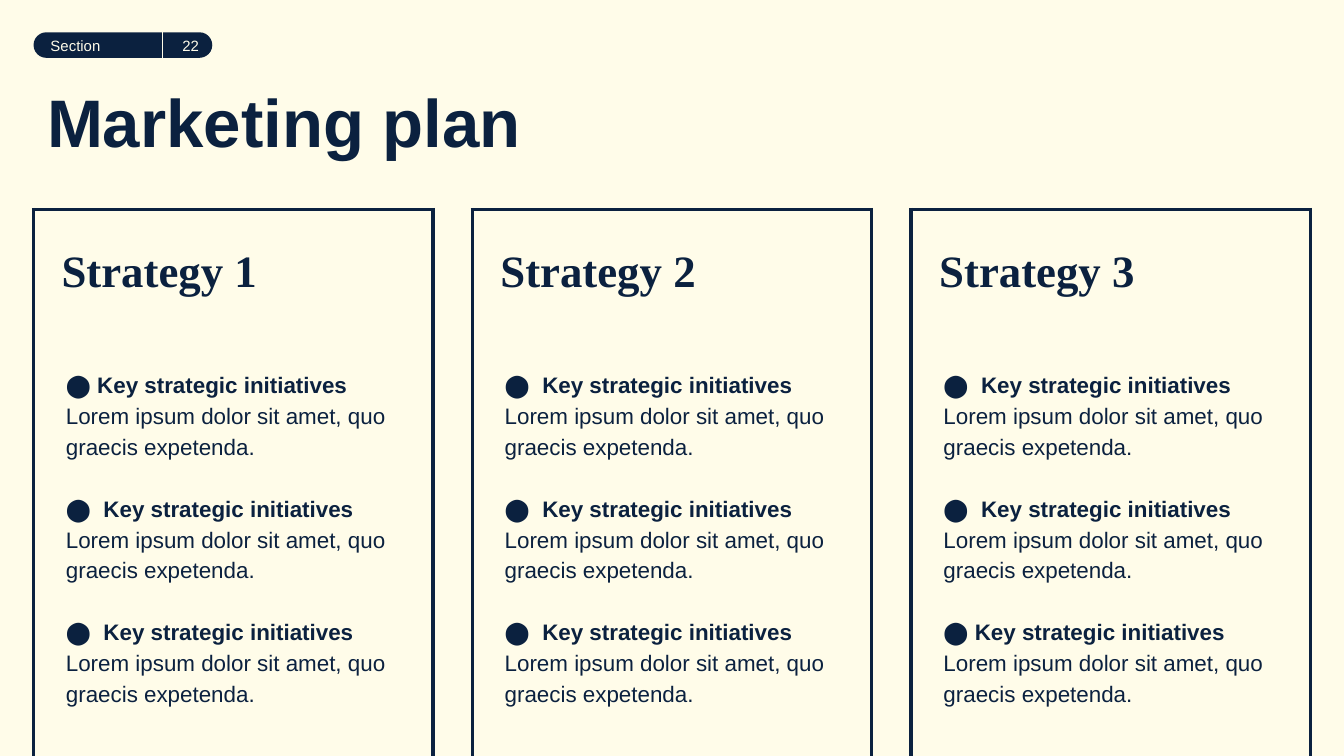
from lxml import etree
from pptx import Presentation
from pptx.dml.color import RGBColor
from pptx.enum.shapes import MSO_CONNECTOR, MSO_SHAPE
from pptx.enum.text import MSO_ANCHOR, MSO_AUTO_SIZE, PP_ALIGN
from pptx.oxml import parse_xml
from pptx.oxml.ns import nsdecls, qn
from pptx.util import Inches, Pt

STRAIGHT = MSO_CONNECTOR.STRAIGHT
ROUNDED = MSO_SHAPE.ROUNDED_RECTANGLE
TOP, MIDDLE, BOTTOM = MSO_ANCHOR.TOP, MSO_ANCHOR.MIDDLE, MSO_ANCHOR.BOTTOM
LEFT, RIGHT = PP_ALIGN.LEFT, PP_ALIGN.RIGHT
NO_AUTOFIT = MSO_AUTO_SIZE.NONE

COLORS = {"navy": "0B213F", "cream": "FFFCE9"}
INITIATIVE = "Key strategic initiatives"
DETAIL = "Lorem ipsum dolor sit amet, quo graecis expetenda."
WIDE, TIGHT = 1.67, 0
STRATEGIES = [
    ("Strategy 1", [TIGHT, WIDE, WIDE]),
    ("Strategy 2", [WIDE, WIDE, WIDE]),
    ("Strategy 3", [WIDE, WIDE, TIGHT]),
]
FIRST_LEFT, LAST_LEFT = 0.25, 6.78
COLUMN_PITCH = (LAST_LEFT - FIRST_LEFT) / (len(STRATEGIES) - 1)


def color(name):
    return RGBColor.from_string(COLORS[name])


def place(shape, left, top, width, height):
    shape.left, shape.top = Inches(left), Inches(top)
    shape.width, shape.height = Inches(width), Inches(height)


def prepare_frame(shape, anchor=TOP):
    frame = shape.text_frame
    frame.word_wrap = True
    frame.auto_size = NO_AUTOFIT
    frame.vertical_anchor = anchor
    frame.margin_left = frame.margin_right = Inches(0.1)
    frame.margin_top = frame.margin_bottom = Inches(0.1)
    return frame


def write(paragraph, text, size=12, font="Arial", fill="navy", bold=False,
          align=LEFT, spacing=1.0, before=0, tracking=0):
    paragraph.alignment = align
    paragraph.line_spacing = spacing
    paragraph.space_before = Pt(before)
    run = paragraph.add_run()
    run.text = text
    run.font.size = Pt(size)
    run.font.name = font
    run.font.bold = bold
    run.font.color.rgb = color(fill)
    if tracking:
        run._r.get_or_add_rPr().set("spc", str(round(tracking * 100)))


def clear_bullet(paragraph):
    properties = paragraph._p.get_or_add_pPr()
    properties.set("marL", "0")
    properties.set("indent", "0")
    etree.SubElement(properties, qn("a:buNone"))


def add_section_tag(slide, left, top, width, height):
    pill = slide.shapes.add_shape(
        ROUNDED, Inches(left), Inches(top), Inches(width), Inches(height))
    pill.shadow.inherit = False
    pill.adjustments[0] = 0.5
    pill.fill.solid()
    pill.fill.fore_color.rgb = color("navy")
    pill.line.fill.background()
    frame = prepare_frame(pill, MIDDLE)
    write(frame.paragraphs[0], "Section", size=8, fill="cream")

    divider_x = left + 0.96
    number = slide.shapes.add_textbox(
        Inches(divider_x), Inches(top), Inches(width - 0.96), Inches(height))
    frame = prepare_frame(number, MIDDLE)
    write(frame.paragraphs[0], "22", size=8, fill="cream", align=RIGHT)

    divider = slide.shapes.add_connector(
        STRAIGHT, Inches(divider_x), Inches(top),
        Inches(divider_x), Inches(top + height))
    divider.line.color.rgb = color("cream")
    divider.line.width = Pt(0.75)
    etree.SubElement(divider._element.spPr, qn("a:effectLst"))


def add_title(title, left, top, width, height):
    place(title, left, top, width, height)
    frame = prepare_frame(title)
    write(frame.paragraphs[0], "Marketing plan", size=36, bold=True)


def add_open_frame(slide, left, top, width, height):
    table = slide.shapes.add_table(
        1, 1, Inches(left), Inches(top), Inches(width), Inches(height)).table
    table.first_row = table.horz_banding = False
    cell = table.cell(0, 0)
    properties = cell._tc.get_or_add_tcPr()
    for side in ("lnL", "lnR", "lnT"):
        properties.append(parse_xml(
            f'<a:{side} {nsdecls("a")} w="{Pt(2.25)}"><a:solidFill>'
            f'<a:srgbClr val="{COLORS["navy"]}"/></a:solidFill></a:{side}>'))
    properties.append(parse_xml(
        f'<a:lnB {nsdecls("a")} w="0"><a:noFill/></a:lnB>'))
    cell.fill.background()


def add_strategy(slide, body, name, gaps, left, top, width, height):
    add_open_frame(slide, left, top, width, height)
    heading = slide.shapes.add_textbox(
        Inches(left + 0.11), Inches(top + 0.15), Inches(2.74), Inches(0.74))
    frame = prepare_frame(heading)
    write(frame.paragraphs[0], name, size=24, font="Times New Roman", bold=True)

    place(body, left + 0.14, top + 1.11, 2.69, 2.69)
    frame = prepare_frame(body, BOTTOM)
    for index, gap in enumerate(gaps):
        initiative = frame.add_paragraph() if index else frame.paragraphs[0]
        clear_bullet(initiative)
        before = 16.5 if index else 0
        write(initiative, "⬤ ", spacing=1.15, before=before, tracking=gap)
        write(initiative, INITIATIVE, bold=True, spacing=1.15, before=before)
        detail = frame.add_paragraph()
        clear_bullet(detail)
        write(detail, DETAIL, spacing=1.15)


def main():
    presentation = Presentation()
    presentation.slide_width = Inches(10)
    presentation.slide_height = Inches(10) * 9 // 16
    slide = presentation.slides.add_slide(presentation.slide_layouts[4])
    slide.background.fill.solid()
    slide.background.fill.fore_color.rgb = color("cream")

    title, *bodies = slide.placeholders
    spare = bodies.pop()
    spare._element.getparent().remove(spare._element)

    add_title(title, 0.25, 0.5, 4.82, 0.81)
    for index, (body, (name, gaps)) in enumerate(zip(bodies, STRATEGIES)):
        add_strategy(slide, body, name, gaps,
                     FIRST_LEFT + index * COLUMN_PITCH, 1.56, 2.97, 4.07)
    add_section_tag(slide, 0.25, 0.24, 1.33, 0.19)
    presentation.save("out.pptx")


if __name__ == "__main__":
    main()
